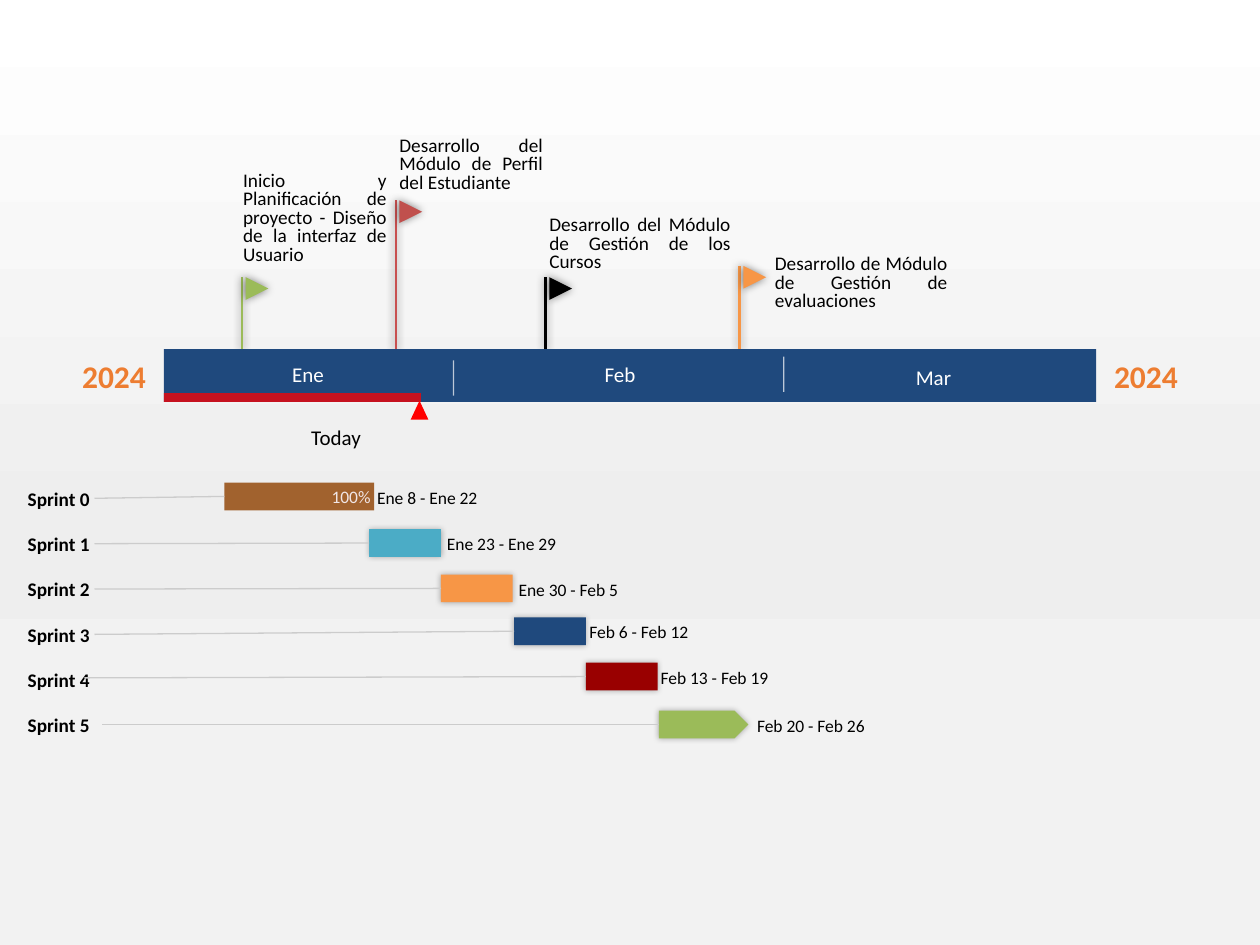
from dataclasses import dataclass
from typing import Optional

from lxml.etree import SubElement
from pptx import Presentation
from pptx.dml.color import RGBColor
from pptx.enum.shapes import MSO_CONNECTOR, MSO_SHAPE
from pptx.enum.text import MSO_ANCHOR as ANCHOR, MSO_AUTO_SIZE, PP_ALIGN as ALIGN
from pptx.oxml.ns import qn
from pptx.util import Pt

PX = 9144  # EMU per px, 100 px to the inch
FONT = "Calibri"

BLACK = RGBColor(0x00, 0x00, 0x00)
WHITE = RGBColor(0xFF, 0xFF, 0xFF)
PALE_GRAY = RGBColor(0xEE, 0xEE, 0xEE)
LIGHT_GRAY = RGBColor(0xF2, 0xF2, 0xF2)
LINE_GRAY = RGBColor(0xCC, 0xCC, 0xCC)
NAVY = RGBColor(0x1F, 0x49, 0x7D)
GREEN = RGBColor(0x9B, 0xBB, 0x59)
TEAL = RGBColor(0x4B, 0xAC, 0xC6)
ORANGE = RGBColor(0xF7, 0x96, 0x46)
YEAR_ORANGE = RGBColor(0xED, 0x7D, 0x31)
BRICK = RGBColor(0xC0, 0x50, 0x4D)
POLE_RED = RGBColor(0xC8, 0x50, 0x50)
RED = RGBColor(0xFF, 0x00, 0x00)
DARK_RED = RGBColor(0x99, 0x00, 0x00)
BROWN = RGBColor(0xA1, 0x62, 0x2E)
PROGRESS_TEXT = RGBColor(0xF1, 0xE6, 0xE6)

BACKGROUND_STOPS = ((0, WHITE), (57, PALE_GRAY), (74, LIGHT_GRAY), (100, LIGHT_GRAY))
BAR_LEFT, BAR_TOP, BAR_WIDTH, BAR_HEIGHT = 130, 277, 740, 42
YEAR_WIDTH = 79
FLAG_SIZE = 18
LABEL_TOP, LABEL_PITCH = 386, 36


@dataclass(frozen=True)
class Glow:
    """Centred soft shadow: blur in points, opacity in percent."""
    blur: float
    opacity: int


FLAG_GLOW = Glow(5, 50)
SPRINT_GLOW = Glow(3.5, 30)


@dataclass(frozen=True)
class Milestone:
    text: str
    box: tuple[int, int, int, int]
    pole_x: int
    pole_top: int
    pole_color: RGBColor
    flag_color: RGBColor


@dataclass(frozen=True)
class Month:
    name: str
    left: int
    top: int


@dataclass(frozen=True)
class Sprint:
    dates: str
    left: int
    top: int
    width: int
    color: RGBColor
    dates_left: int
    dates_width: int = 92
    line_start: Optional[tuple[int, int]] = None  # None: joined to the label
    glow: Optional[Glow] = SPRINT_GLOW
    kind: MSO_SHAPE = MSO_SHAPE.RECTANGLE
    progress: str = ""


MILESTONES = (
    Milestone("Inicio y Planificación de proyecto - Diseño de la interfaz de Usuario",
              (193, 137, 114, 74), 192, 220, GREEN, GREEN),
    Milestone("Desarrollo del Módulo de Perfil del Estudiante",
              (317, 109, 114, 44), 314, 159, POLE_RED, BRICK),
    Milestone("Desarrollo del Módulo de Gestión de los Cursos",
              (436, 172, 144, 44), 433, 220, BLACK, BLACK),
    Milestone("Desarrollo de Módulo de Gestión de evaluaciones",
              (615, 203, 137, 44), 587, 211, ORANGE, ORANGE),
)
MONTHS = (Month("Ene", 222, 276), Month("Feb", 470, 276), Month("Mar", 717, 278))
MONTH_DIVIDERS = ((360, 286), (622, 283))
SPRINTS = (
    Sprint("Ene 8 - Ene 22", 178, 383, 119, BROWN, 293, glow=None, progress="100%"),
    Sprint("Ene 23 - Ene 29", 293, 420, 57, TEAL, 352),
    Sprint("Ene 30 - Feb 5", 350, 456, 57, ORANGE, 405),
    Sprint("Feb 6 - Feb 12", 408, 490, 57, NAVY, 461),
    Sprint("Feb 13 - Feb 19", 465, 526, 57, DARK_RED, 521, line_start=(67, 538)),
    Sprint("Feb 20 - Feb 26", 523, 564, 71, GREEN, 594, 99, line_start=(81, 575),
           kind=MSO_SHAPE.PENTAGON),
)


def px(*lengths: int) -> list[int]:
    return [length * PX for length in lengths]


def set_opacity(color_element, percent: int) -> None:
    SubElement(color_element, qn("a:alpha"), val=str(percent * 1000))


def finish(shape, opacity: int, glow: Optional[Glow]) -> None:
    """Apply opacity to the coloured shape or line and replace the theme's shadow."""
    properties = shape._element.spPr
    if opacity < 100:
        set_opacity(properties.find(".//" + qn("a:srgbClr")), opacity)
    effects = properties.get_or_add_effectLst()
    if glow:
        shadow = SubElement(effects, qn("a:outerShdw"), blurRad=str(Pt(glow.blur)),
                            dist="0", dir="0", algn="ctr", rotWithShape="0")
        set_opacity(SubElement(shadow, qn("a:srgbClr"), val=str(BLACK)), glow.opacity)


def write(shape, text: str, *, size: int, color: RGBColor = BLACK, bold: bool = False,
          align: ALIGN = ALIGN.LEFT, anchor: ANCHOR = ANCHOR.MIDDLE, spacing: float = 1.0,
          insets: tuple[int, int, int, int] = (0, 0, 0, 0), wrap: bool = True,
          grow: bool = False) -> None:
    """Fill a shape with one paragraph; insets are left, top, right, bottom."""
    frame = shape.text_frame
    frame.word_wrap = wrap
    frame.auto_size = MSO_AUTO_SIZE.SHAPE_TO_FIT_TEXT if grow else MSO_AUTO_SIZE.NONE
    frame.vertical_anchor = anchor
    (frame.margin_left, frame.margin_top,
     frame.margin_right, frame.margin_bottom) = px(*insets)
    paragraph = frame.paragraphs[0]
    paragraph.alignment = align
    paragraph.line_spacing = spacing
    run = paragraph.add_run()
    run.text = text
    run.font.name, run.font.size, run.font.bold = FONT, Pt(size), bold
    run.font.color.rgb = color


def add_text(slide, box: tuple[int, int, int, int], text: str, **text_format):
    textbox = slide.shapes.add_textbox(*px(*box))
    write(textbox, text, **text_format)
    return textbox


def add_block(slide, kind: MSO_SHAPE, box: tuple[int, int, int, int], color: RGBColor,
              opacity: int = 100, glow: Optional[Glow] = None):
    block = slide.shapes.add_shape(kind, *px(*box))
    block.fill.solid()
    block.fill.fore_color.rgb = color
    block.line.fill.background()
    finish(block, opacity, glow)
    return block


def add_line(slide, start: tuple[int, int], end: tuple[int, int], color: RGBColor,
             width: float = 0.75, opacity: int = 100, glow: Optional[Glow] = None):
    line = slide.shapes.add_connector(MSO_CONNECTOR.STRAIGHT, *px(*start, *end))
    line.line.color.rgb = color
    line.line.width = Pt(width)
    finish(line, opacity, glow)
    return line


def paint_background(slide) -> None:
    fill = slide.background.fill
    fill.gradient()
    fill.gradient_angle = 270
    stops = slide._element.find(".//" + qn("a:gsLst"))
    stops.clear()
    for position, color in BACKGROUND_STOPS:
        stop = SubElement(stops, qn("a:gs"), pos=str(position * 1000))
        SubElement(stop, qn("a:srgbClr"), val=str(color))


def draw_milestone(slide, item: Milestone) -> None:
    add_line(slide, (item.pole_x, item.pole_top), (item.pole_x, BAR_TOP + 1),
             item.pole_color, 1.25, glow=FLAG_GLOW)
    flag = add_block(slide, MSO_SHAPE.FLOWCHART_MERGE,
                     (item.pole_x + 3, item.pole_top, FLAG_SIZE, FLAG_SIZE),
                     item.flag_color, glow=FLAG_GLOW)
    flag.rotation = 270
    add_text(slide, item.box, item.text, size=11, align=ALIGN.JUSTIFY,
             anchor=ANCHOR.TOP, spacing=0.8, grow=True)


def draw_time_bar(slide) -> None:
    add_block(slide, MSO_SHAPE.RECTANGLE, (BAR_LEFT, BAR_TOP, BAR_WIDTH, BAR_HEIGHT), NAVY)
    for left in (BAR_LEFT - YEAR_WIDTH, BAR_LEFT + BAR_WIDTH):
        add_text(slide, (left, 283, YEAR_WIDTH, 30), "2024", size=18, color=YEAR_ORANGE,
                 bold=True, align=ALIGN.CENTER, insets=(14, 0, 14, 0), grow=True)
    for month in MONTHS:
        add_text(slide, (month.left, month.top, 62, 42), month.name, size=12, color=WHITE,
                 insets=(10, 5, 10, 5))
    for x, top in MONTH_DIVIDERS:
        add_line(slide, (x, top), (x, top + 28), WHITE, opacity=70)
    add_block(slide, MSO_SHAPE.RECTANGLE, (BAR_LEFT, 312, 204, 7), RED, opacity=75)
    add_block(slide, MSO_SHAPE.ISOSCELES_TRIANGLE, (326, 318, 14, 15), RED)
    add_text(slide, (247, 337, 40, 20), "Today", size=12, anchor=ANCHOR.TOP,
             wrap=False, grow=True)


def draw_sprint(slide, number: int, sprint: Sprint) -> None:
    label = add_text(slide, (22, LABEL_TOP + number * LABEL_PITCH, 53, 19),
                     f"Sprint {number}", size=11, bold=True, wrap=False, grow=True)
    bar = add_block(slide, sprint.kind, (sprint.left, sprint.top, sprint.width, 22),
                    sprint.color, glow=sprint.glow)
    if sprint.progress:
        write(bar, sprint.progress, size=10, color=PROGRESS_TEXT, align=ALIGN.RIGHT,
              insets=(0, 0, 3, 0))
    start = sprint.line_start or (75, sprint.top + 11)
    leader = add_line(slide, start, (sprint.left, sprint.top + 11), LINE_GRAY)
    if sprint.line_start is None:
        leader.begin_connect(label, 3)
    leader.end_connect(bar, 1)
    add_text(slide, (sprint.dates_left, sprint.top + 3, sprint.dates_width, 17),
             sprint.dates, size=10, align=ALIGN.CENTER)


def main() -> None:
    deck = Presentation()
    deck.slide_width, deck.slide_height = px(1000, 750)
    slide = deck.slides.add_slide(deck.slide_layouts[6])
    paint_background(slide)
    for milestone in MILESTONES:
        draw_milestone(slide, milestone)
    draw_time_bar(slide)
    for number, sprint in enumerate(SPRINTS):
        draw_sprint(slide, number, sprint)
    deck.save("out.pptx")


if __name__ == "__main__":
    main()
